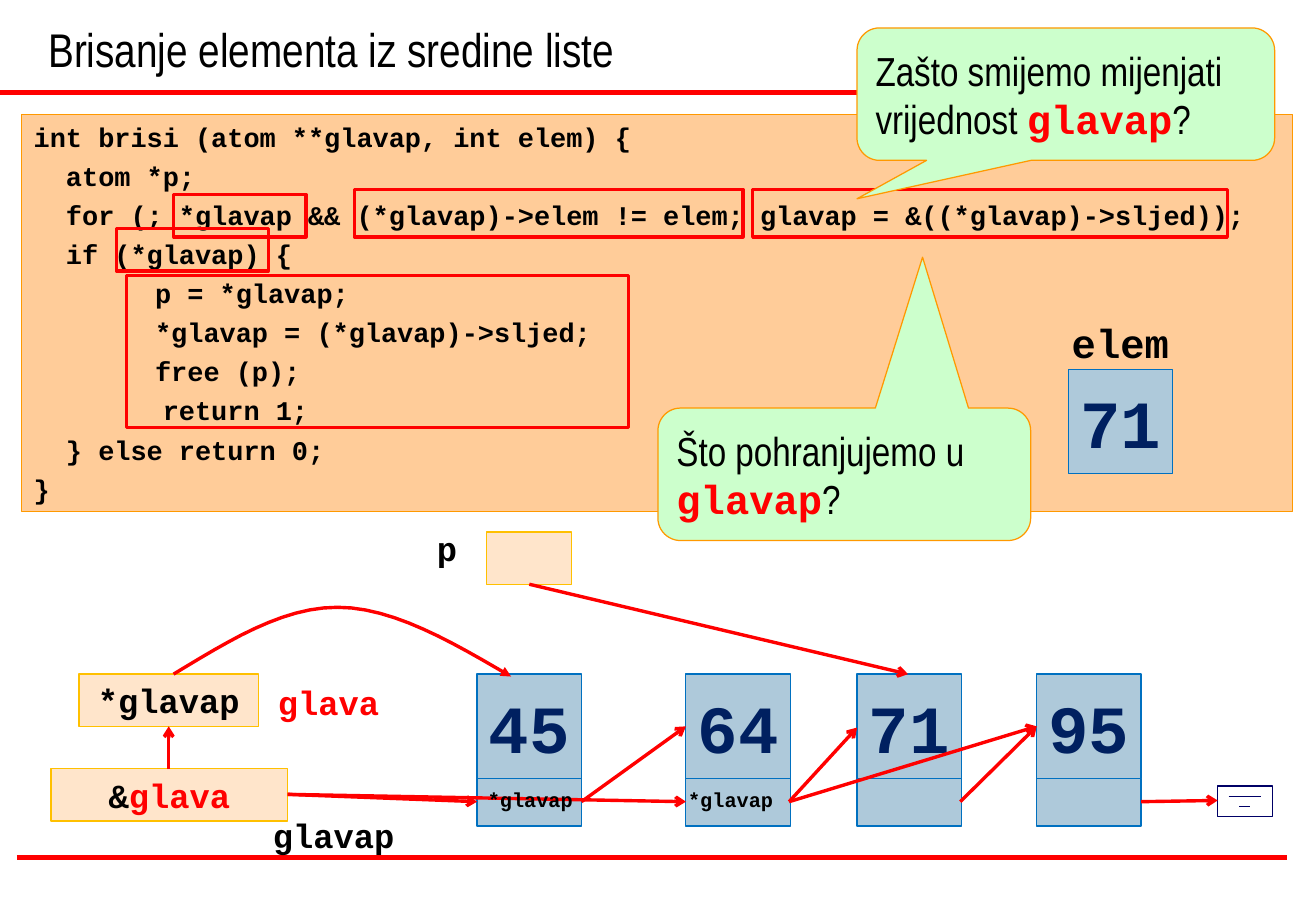
from pptx import Presentation
from pptx.dml.color import RGBColor
from pptx.enum.shapes import MSO_CONNECTOR, MSO_SHAPE
from pptx.enum.text import MSO_ANCHOR, PP_ALIGN
from pptx.oxml.ns import qn
from pptx.util import Inches, Pt
from lxml import etree

RECT, CALLOUT = MSO_SHAPE.RECTANGLE, MSO_SHAPE.ROUNDED_RECTANGULAR_CALLOUT
STRAIGHT = MSO_CONNECTOR.STRAIGHT
TOP, MIDDLE, BOTTOM = MSO_ANCHOR.TOP, MSO_ANCHOR.MIDDLE, MSO_ANCHOR.BOTTOM
LEFT, CENTER = PP_ALIGN.LEFT, PP_ALIGN.CENTER
SANS, MONO = "Arial Narrow", "Courier New"
BLACK, RED, NAVY, INK = "000000", "FF0000", "002060", "000066"
ORANGE, AMBER, PEACH, GREEN = "FF9900", "FFC000", "FFCC99", "CCFFCC"
NODE_FILL, NODE_LINE = "AEC9DA", "0070C0"

TITLE = "Brisanje elementa iz sredine liste"
CODE = [
    "int brisi (atom **glavap, int elem) {",
    "  atom *p;",
    "  for (; *glavap && (*glavap)->elem != elem; glavap = &((*glavap)->sljed));",
    "  if (*glavap) {",
    "\tp = *glavap;",
    "\t*glavap = (*glavap)->sljed;",
    "\tfree (p);",
    "        return 1;",
    "  } else return 0;",
    "}",
]
RULES = [(0, 0.76), (0.14, 7.06)]
RULE_W = 10.46
NODES = [(3.93, "45"), (5.65, "64"), (7.06, "71"), (8.54, "95")]
NODE_W, NODE_TOP, LINK_TOP, LINK_H = 0.86, 5.55, 6.41, 0.39
POINTERS = [
    ((0.65, 5.55, 1.48, 0.43), [("*glavap", BLACK)]),
    ((4.01, 4.38, 0.7, 0.43), []),
    ((0.42, 6.33, 1.95, 0.43), [("&", BLACK), ("glava", RED)]),
]
HIGHLIGHTS = [
    (1.43, 1.6, 1.09, 0.35),
    (2.92, 1.56, 3.2, 0.39),
    (0.96, 1.88, 1.25, 0.35),
    (1.04, 2.27, 4.14, 1.25),
    (6.2, 1.56, 3.91, 0.39),
]
ARROWS = [
    (4.79, 6.6, 5.65, 5.98),
    (6.5, 6.6, 7.06, 5.99),
    (7.91, 6.6, 8.54, 5.98),
    (9.4, 6.6, 10.03, 6.59),
    (4.36, 4.81, 7.48, 5.55),
    (1.39, 6.33, 1.39, 5.98),
    (2.37, 6.54, 3.93, 6.6),
    (2.37, 6.54, 5.65, 6.6),
    (6.5, 6.6, 8.54, 5.98),
]
CURVE = [
    [(1.43, 5.55), (1.88, 5.28), (2.32, 5), (2.78, 5)],
    [(2.78, 5), (3.24, 5), (3.73, 5.29), (4.21, 5.57)],
]
CALLOUTS = [
    ((7.06, 0.23, 3.44, 1.09), (-0.5, 0.79, 0.17), ["Zašto smijemo mijenjati", "vrijednost "]),
    ((5.42, 3.36, 3.07, 1.09), (0.21, -1.64, 0.17), ["Što pohranjujemo u", ""]),
]
LABELS = [
    ((8.73, 2.57, 1.1, 0.5), "elem", 24, BLACK),
    ((2.15, 6.66, 1.3, 0.44), "glavap", 20, BLACK),
    ((3.5, 4.3, 0.4, 0.44), "p", 20, BLACK),
    ((3.92, 6.43, 1, 0.3), "*glavap", 12, BLACK),
    ((5.57, 6.43, 1, 0.3), "*glavap", 12, BLACK),
    ((2.19, 5.56, 1.15, 0.44), "glava", 20, RED),
]


def color(value):
    return RGBColor.from_string(value)


def set_line(sp, line, width, head=None):
    sp.line.color.rgb = color(line)
    sp.line.width = Pt(width)
    if head:
        ln = sp._element.spPr.find(qn("a:ln"))
        etree.SubElement(ln, qn("a:tailEnd"), type=head)


def add_box(at, fill, line, width=0.75, kind=RECT, alpha=None):
    sp = s.shapes.add_shape(kind, *map(Inches, at))
    sp.shadow.inherit = False
    if fill:
        sp.fill.solid()
        sp.fill.fore_color.rgb = color(fill)
    else:
        sp.fill.background()
    if alpha:
        clr = sp._element.spPr.find(qn("a:solidFill"))[0]
        etree.SubElement(clr, qn("a:alpha"), val=str(alpha * 1000))
    set_line(sp, line, width)
    return sp


def add_line(x1, y1, x2, y2, line, width, head=None):
    cx = s.shapes.add_connector(STRAIGHT, *map(Inches, (x1, y1, x2, y2)))
    set_line(cx, line, width, head)
    etree.SubElement(cx._element.spPr, qn("a:effectLst"))


def frame(sp, anchor, wrap=False):
    tf = sp.text_frame
    tf.word_wrap = wrap
    tf.vertical_anchor = anchor
    tf.margin_left = tf.margin_right = Inches(0.1)
    tf.margin_top = tf.margin_bottom = Inches(0.05)
    return tf


def set_font(font, size, name, value, bold=False):
    font.size, font.name, font.bold = Pt(size), name, bold
    font.color.rgb = color(value)


def write(tf, text, size, value, align=LEFT, name=MONO, bold=True):
    p = tf.paragraphs[0]
    p.alignment = align
    p.add_run().text = text
    set_font(p.font, size, name, value, bold)


def add_label(at, text, size, value, anchor=TOP, name=MONO, bold=True):
    tb = s.shapes.add_textbox(*map(Inches, at))
    write(frame(tb, anchor), text, size, value, name=name, bold=bold)


def add_node(x, y, value):
    sp = add_box((x, y, NODE_W, NODE_W), NODE_FILL, NODE_LINE)
    write(frame(sp, MIDDLE), value, 40, NAVY, CENTER)


def bezier(points, t):
    weights = ((1 - t) ** 3, 3 * t * (1 - t) ** 2, 3 * t * t * (1 - t), t ** 3)
    return tuple(Inches(sum(w * pt[i] for w, pt in zip(weights, points))) for i in (0, 1))


prs = Presentation()
prs.slide_width, prs.slide_height = Inches(10.84), Inches(7.5)
s = prs.slides.add_slide(prs.slide_layouts[6])

for x, y in RULES:
    add_line(x, y, x + RULE_W, y, RED, 3)
add_label((0.3, 0, 10.16, 0.68), TITLE, 28, BLACK, BOTTOM, SANS, False)

tf = frame(add_box((0.18, 0.94, 10.47, 3.27), PEACH, ORANGE), TOP, wrap=True)
for i, text in enumerate(CODE):
    p = tf.add_paragraph() if i else tf.paragraphs[0]
    p.alignment = LEFT
    if i:
        p.space_before = Pt(4)
    p.add_run().text = text
    tabs = etree.SubElement(p._p.get_or_add_pPr(), qn("a:tabLst"))
    etree.SubElement(tabs, qn("a:tab"), pos=str(Inches(1)), algn="l")
    set_font(p.font, 16, MONO, BLACK, True)

add_node(8.8, 3.04, "71")
for x, value in NODES:
    add_box((x, LINK_TOP, NODE_W, LINK_H), NODE_FILL, NODE_LINE)
    add_node(x, NODE_TOP, value)

for at, runs in POINTERS:
    tf = frame(add_box(at, PEACH, AMBER, alpha=50), MIDDLE)
    p = tf.paragraphs[0]
    p.alignment = CENTER
    for text, value in runs:
        r = p.add_run()
        r.text = text
        set_font(r.font, 20, MONO, value, True)

add_box((10.03, 6.47, 0.45, 0.25), None, INK)
for i in range(3):
    y = 6.47 + 0.085 * i
    add_line(10.03 + 0.09 * i, y, 10.48 - 0.09 * i, y, INK, 0.75)

STEPS = 12
points = [bezier(part, k / STEPS) for part in CURVE for k in range(1, STEPS + 1)]
fb = s.shapes.build_freeform(*bezier(CURVE[0], 0))
fb.add_line_segments(points, close=False)
sp = fb.convert_to_shape()
sp.shadow.inherit = False
sp.fill.background()
set_line(sp, RED, 2, "triangle")

for at in HIGHLIGHTS:
    add_box(at, None, RED, 2)
for ends in ARROWS:
    add_line(*ends, RED, 2, "arrow")

for at, adjustments, lines in CALLOUTS:
    sp = add_box(at, GREEN, ORANGE, kind=CALLOUT)
    for i, value in enumerate(adjustments):
        sp.adjustments[i] = value
    p = frame(sp, MIDDLE).paragraphs[0]
    p.alignment = LEFT
    first, second = lines
    for text, name, value in ((first, SANS, BLACK), (second, SANS, BLACK), ("glavap", MONO, RED), ("?", SANS, BLACK)):
        if text:
            r = p.add_run()
            r.text = text
            set_font(r.font, 24, name, value, name == MONO)
        if text == first:
            p.add_line_break()

for label in LABELS:
    add_label(*label)

prs.save("out.pptx")
